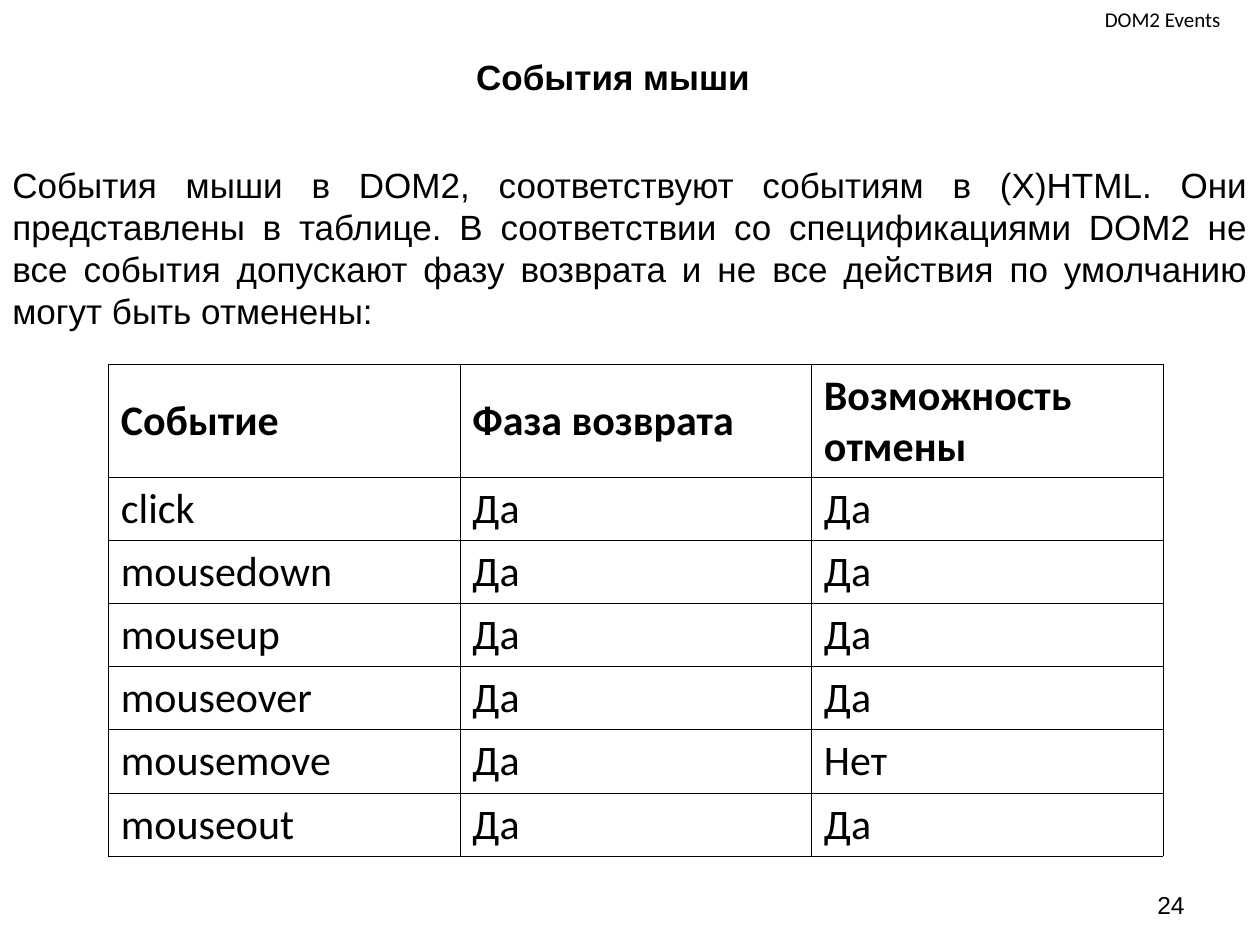
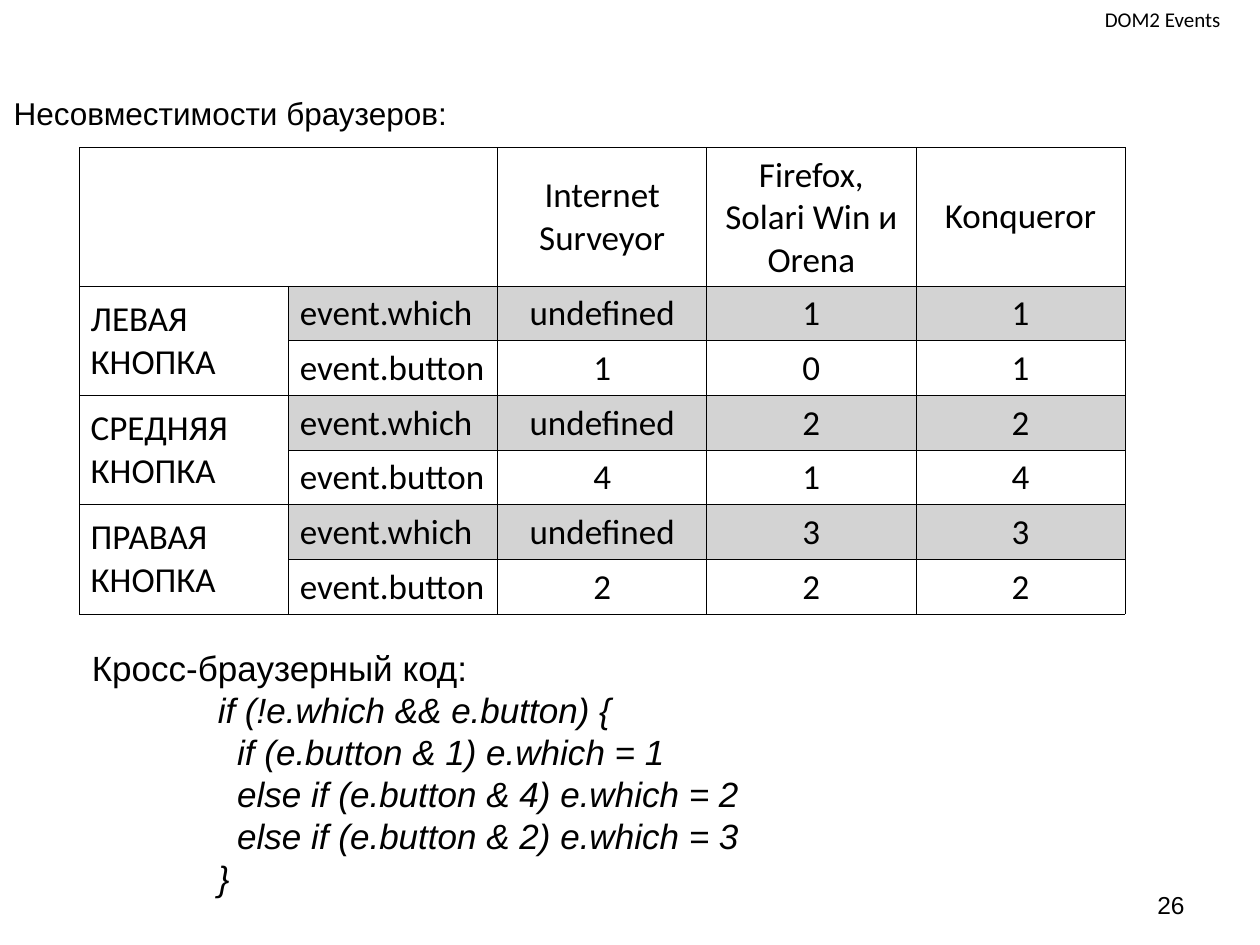
from lxml import etree
from pptx import Presentation
from pptx import util as u
from pptx.dml.color import RGBColor
from pptx.enum import text
from pptx.oxml.ns import qn

COLORS = {"ink": "000000", "paper": "FFFFFF", "band": "D3D3D3"}
LEFT, CENTER, RIGHT, JUSTIFY = (text.PP_ALIGN.LEFT, text.PP_ALIGN.CENTER,
                                text.PP_ALIGN.RIGHT, text.PP_ALIGN.JUSTIFY)
TOP, MIDDLE, BOTTOM = (text.MSO_ANCHOR.TOP, text.MSO_ANCHOR.MIDDLE,
                       text.MSO_ANCHOR.BOTTOM)
BORDER_PT = 0.45


class Deck:
    def __init__(self):
        self.prs = Presentation()
        self.prs.slide_width = u.Inches(10)
        self.prs.slide_height = u.Inches(7.5)
        self.slide = None

    def new_slide(self, number):
        """Start a slide with the shared topic header and page number."""
        self.slide = self.prs.slides.add_slide(self.prs.slide_layouts[6])
        background = self.slide.background.fill
        background.solid()
        background.fore_color.rgb = RGBColor.from_string(COLORS["paper"])
        self.textbox((7.17, 6.83, 2.33, 0.52), [str(number)], size=14,
                     align=RIGHT, anchor=BOTTOM, grow=False)
        self.textbox((8.67, 0, 1.33, 0.3), ["DOM2 Events"], size=12,
                     font="Calibri", anchor=MIDDLE)

    def add_words(self, paragraph, words, size, font, align=LEFT, bold=False,
                  italic=False):
        paragraph.alignment = align
        run = paragraph.add_run()
        run.text = words
        run.font.size = u.Pt(size)
        run.font.name = font
        run.font.bold = bold
        run.font.italic = italic
        run.font.color.rgb = RGBColor.from_string(COLORS["ink"])

    def textbox(self, box, lines, size, font="Arial", align=LEFT, anchor=TOP,
                bold=False, wrap=True, grow=True):
        frame = self.slide.shapes.add_textbox(*map(u.Inches, box)).text_frame
        frame.word_wrap = wrap
        frame.vertical_anchor = anchor
        if grow:
            frame.auto_size = text.MSO_AUTO_SIZE.SHAPE_TO_FIT_TEXT
        for i, line in enumerate(lines):
            paragraph = frame.add_paragraph() if i else frame.paragraphs[0]
            self.add_words(paragraph, line, size, font, align, bold)
        return frame

    def code(self, frame, lines, size, indent):
        """Append italic code lines, indented as a block."""
        for line in lines:
            paragraph = frame.add_paragraph()
            paragraph._p.get_or_add_pPr().set("marL", str(u.Inches(indent)))
            self.add_words(paragraph, line, size, "Arial", italic=True)

    def table(self, left, top, col_width, row_heights, rows, size, style,
              margin=0.1):
        """style(row, col) gives alignment, boldness and fill colour."""
        cols = len(rows[0])
        grid = self.slide.shapes.add_table(
            len(rows), cols, u.Inches(left), u.Inches(top),
            u.Inches(col_width * cols), u.Inches(sum(row_heights))).table
        grid.first_row = grid.horz_banding = False
        for column in grid.columns:
            column.width = u.Inches(col_width)
        for r, values in enumerate(rows):
            grid.rows[r].height = u.Inches(row_heights[r])
            for c, value in enumerate(values):
                cell = grid.cell(r, c)
                align, bold, fill = style(r, c)
                cell.vertical_anchor = MIDDLE
                cell.margin_left = cell.margin_right = u.Inches(margin)
                if fill:
                    cell.fill.solid()
                    cell.fill.fore_color.rgb = RGBColor.from_string(COLORS[fill])
                else:
                    cell.fill.background()
                self.borders(cell)
                if value:
                    self.add_words(cell.text_frame.paragraphs[0], value, size,
                                   "Calibri", align, bold)
        return grid

    def borders(self, cell):
        props = cell._tc.get_or_add_tcPr()
        for i, side in enumerate(("lnL", "lnR", "lnT", "lnB")):
            line = etree.Element(qn(f"a:{side}"), w=str(u.Pt(BORDER_PT)))
            fill = etree.SubElement(line, qn("a:solidFill"))
            etree.SubElement(fill, qn("a:srgbClr"), val=COLORS["ink"])
            props.insert(i, line)


def mouse_events(deck):
    deck.new_slide(24)
    deck.textbox((3.68, 0.39, 2.45, 0.44), ["События мыши"], size=20,
                 bold=True, wrap=False)
    deck.textbox((0, 1.25, 10, 1.77), [
        "События мыши в DOM2, соответствуют событиям в (X)HTML. Они "
        "представлены в таблице. В соответствии со спецификациями DOM2 не "
        "все события допускают фазу возврата и не все действия по умолчанию "
        "могут быть отменены:"], size=20, align=JUSTIFY)

    # Events and whether they bubble and can be cancelled
    events = ["click", "mousedown", "mouseup", "mouseover", "mousemove",
              "mouseout"]
    rows = [["Событие", "Фаза возврата", "Возможность отмены"]]
    rows += [[event, "Да", "Нет" if event == "mousemove" else "Да"]
             for event in events]
    deck.table(0.86, 2.89, 2.79, [0.9] + [0.5] * len(events), rows, size=24,
               style=lambda r, c: (LEFT, r == 0, None))


def browser_differences(deck):
    deck.new_slide(26)
    deck.textbox((0.01, 0.7, 3.64, 0.4), ["Несовместимости браузеров:"],
                 size=18, anchor=MIDDLE, wrap=False)

    # Two properties per mouse button, one column per browser
    buttons = {"ЛЕВАЯ КНОПКА": ("111", "101"),
               "СРЕДНЯЯ КНОПКА": ("222", "414"),
               "ПРАВАЯ КНОПКА": ("333", "222")}
    rows = [["", "", "Internet Surveyor", "Firefox, Solari Win и Orena",
             "Konqueror"]]
    for button, (which, pressed) in buttons.items():
        rows.append([button, "event.which", "undefined", *which[1:]])
        rows.append(["", "event.button", *pressed])

    def style(r, c):
        return (CENTER if c > 1 else LEFT, False,
                "band" if r % 2 and c else None)

    grid = deck.table(0.63, 1.17, 1.66, [1.09] + [0.43] * 6, rows, size=20,
                      style=style, margin=0.09)
    grid.cell(0, 0).merge(grid.cell(0, 1))
    for r in range(1, len(rows), 2):
        grid.cell(r, 0).merge(grid.cell(r + 1, 0))

    # Cross-browser code
    listing = deck.textbox((0.63, 5.08, 8.28, 2.1), ["Кросс-браузерный код:"],
                           size=20)
    deck.code(listing, ["if (!e.which && e.button) {",
                        "  if (e.button & 1) e.which = 1",
                        "  else if (e.button & 4) e.which = 2",
                        "  else if (e.button & 2) e.which = 3",
                        "}"], size=20, indent=1)


def main():
    deck = Deck()
    mouse_events(deck)
    browser_differences(deck)
    deck.prs.save("out.pptx")


if __name__ == "__main__":
    main()
